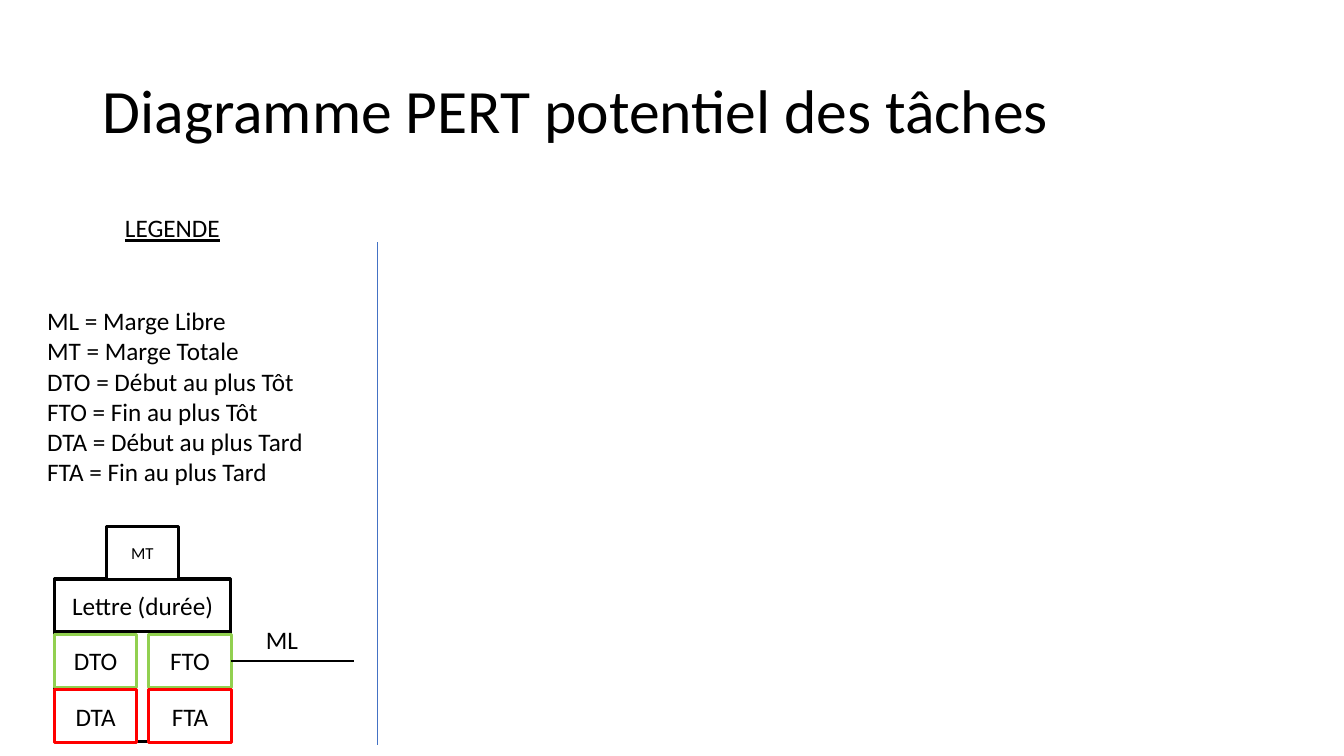
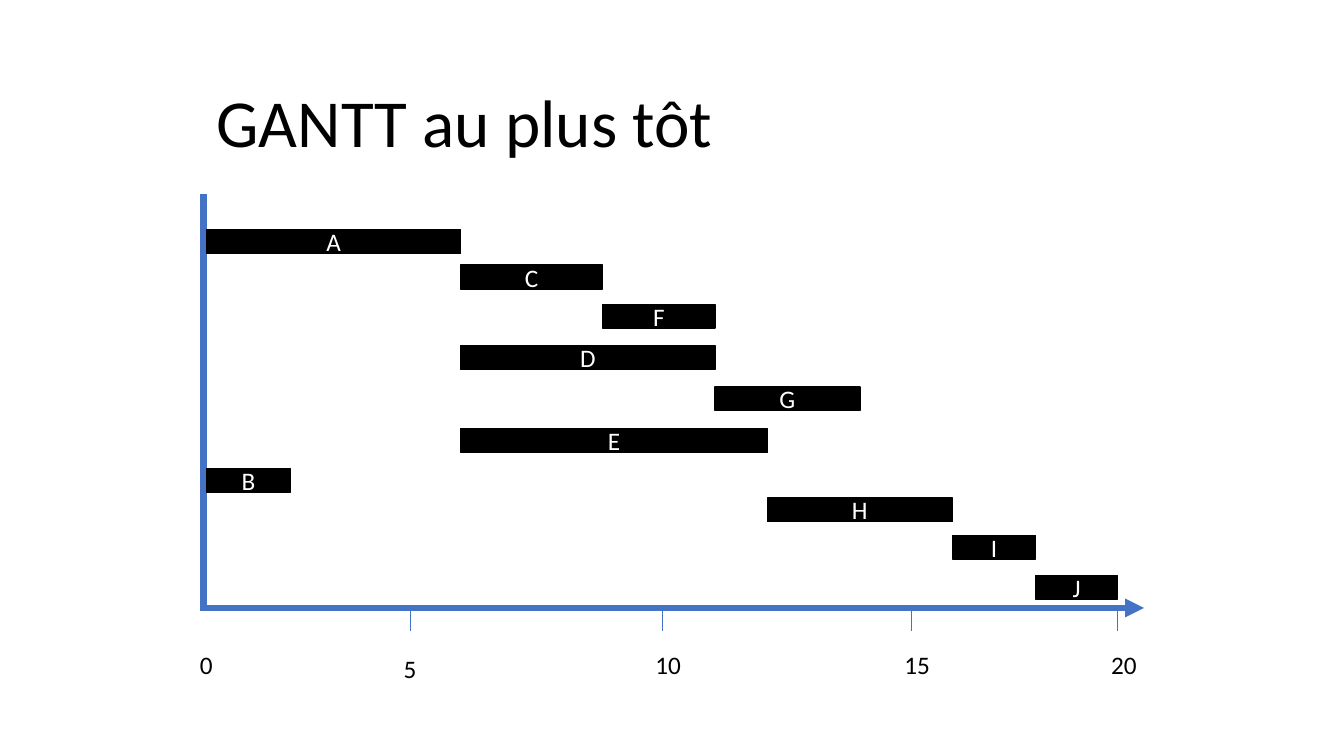
from lxml import etree
from pptx import Presentation
from pptx import util as u
from pptx.dml.color import RGBColor
from pptx.enum import shapes, text
from pptx.oxml.ns import qn

FONT = "Calibri"
HUES = {"ink": "000000", "paper": "FFFFFF", "blue": "4472C4",
        "early": "92D050", "late": "FF0000"}

LEGEND = ["ML = Marge Libre", "MT = Marge Totale", "DTO = Début au plus Tôt",
          "FTO = Fin au plus Tôt", "DTA = Début au plus Tard",
          "FTA = Fin au plus Tard"]

# Place of each day on the time axis, in cm
DAYS = {0: 5.21, 2: 7.32, 5: 10.34, 6: 11.61, 9: 15.19, 10: 16.69, 11: 18.02,
        12: 19.34, 15: 22.96, 16: 24, 18: 26.1, 20: 28.17}

# Task, first day, last day, top in cm
TASKS = [("A", 0, 6, 5.79), ("C", 6, 9, 6.68), ("F", 9, 11, 7.67),
         ("D", 6, 11, 8.71), ("G", 11, 14, 9.75), ("E", 6, 12, 10.8),
         ("B", 0, 2, 11.81), ("H", 12, 16, 12.55), ("I", 16, 18, 13.49),
         ("J", 18, 20, 14.5)]
DAYS[14] = 21.67


def hue(name):
    return RGBColor.from_string(HUES[name])


def write(shape, lines, size=18, color="ink", align=text.PP_ALIGN.LEFT,
          anchor=text.MSO_ANCHOR.TOP, wrap=True, under=False, space=1.0):
    frame = shape.text_frame
    frame.word_wrap = wrap
    frame.vertical_anchor = anchor
    for i, line in enumerate(lines):
        para = frame.paragraphs[0] if i == 0 else frame.add_paragraph()
        para.alignment = align
        para.line_spacing = space
        run = para.add_run()
        run.text = line
        font = run.font
        font.name, font.size, font.underline = FONT, u.Pt(size), under
        font.color.rgb = hue(color)


def label(slide, lines, x, y, w, h, **style):
    shape = slide.shapes.add_textbox(u.Cm(x), u.Cm(y), u.Cm(w), u.Cm(h))
    write(shape, lines, **style)


def title(slide, words, x, y, w, h, **style):
    label(slide, [words], x, y, w, h,
          anchor=text.MSO_ANCHOR.MIDDLE, **style)


def box(slide, words, x, y, w, h, fill="paper", edge="ink", width=2.25,
        **style):
    shape = slide.shapes.add_shape(shapes.MSO_SHAPE.RECTANGLE,
                                   u.Cm(x), u.Cm(y), u.Cm(w), u.Cm(h))
    shape.shadow.inherit = False
    shape.fill.solid()
    shape.fill.fore_color.rgb = hue(fill)
    shape.line.color.rgb = hue(edge)
    shape.line.width = u.Pt(width)
    if words:
        write(shape, [words], align=text.PP_ALIGN.CENTER,
              anchor=text.MSO_ANCHOR.MIDDLE, **style)
    return shape


def rule(slide, x1, y1, x2, y2, color="blue", width=0.5, arrow=False):
    line = slide.shapes.add_connector(shapes.MSO_CONNECTOR.STRAIGHT,
                                      u.Cm(x1), u.Cm(y1), u.Cm(x2), u.Cm(y2))
    line.line.color.rgb = hue(color)
    line.line.width = u.Pt(width)
    if arrow:
        etree.SubElement(line.line._get_or_add_ln(), qn("a:tailEnd"),
                         type="triangle")
    etree.SubElement(line._element.spPr, qn("a:effectLst"))
    return line


def node(slide):
    """Draw the sample task of the key, with its dates and margins."""
    left, wide = 1.37, 4.45
    box(slide, "", left, 14.58, wide, 4.11)
    box(slide, "MT", 2.69, 13.26, 1.8, 1.35, size=12)
    box(slide, "Lettre (durée)", left, 14.6, wide, 1.32)
    cells = {}
    for row, (end, edge) in enumerate([("TO", "early"), ("TA", "late")]):
        for col, side in enumerate("DF"):
            name = side + end
            cells[name] = box(slide, name, left + col * 2.38,
                              15.98 + row * 1.39, 2.08, 1.35, edge=edge)
    link = rule(slide, 5.83, 16.65, 8.92, 16.65, color="ink", width=1)
    link.begin_connect(cells["FTO"], 3)
    link.end_y = link.begin_y
    label(slide, ["ML"], 6.45, 15.6, 1.32, 1.02, wrap=False)


def pert(slide):
    title(slide, "Diagramme PERT potentiel des tâches",
          2.34, 1.02, 29.21, 3.68, size=44, space=0.9)
    label(slide, ["LEGENDE"], 2.9, 5.23, 2.92, 1.02, wrap=False, under=True)
    label(slide, LEGEND, 0.94, 7.57, 7.7, 4.88)
    node(slide)
    rule(slide, 9.52, 6.1, 9.52, 18.77)


def gantt(slide):
    base = 15.32
    title(slide, "GANTT au plus tôt", 5.21, 1.88, 16.33, 2.31, size=48)
    rule(slide, 5.03, base, 28.83, base, width=4.5, arrow=True)
    rule(slide, 5.13, 15.37, 5.13, 4.88, width=4.5)
    for day in range(0, 21, 5):
        x = DAYS[day]
        if day:
            rule(slide, x, base, x, base + 0.58)
        label(slide, [str(day)], x - 0.42, 16.33 if day == 5 else 16.23,
              0.84 if day < 10 else 1.17, 1.02, wrap=False)
    for name, start, end, top in TASKS:
        box(slide, name, DAYS[start], top, DAYS[end] - DAYS[start], 0.6,
            fill="ink", width=1, color="paper")


def main():
    deck = Presentation()
    deck.slide_width, deck.slide_height = u.Cm(33.87), u.Cm(19.05)
    for draw in (pert, gantt):
        draw(deck.slides.add_slide(deck.slide_layouts[6]))
    deck.save("out.pptx")


if __name__ == "__main__":
    main()
